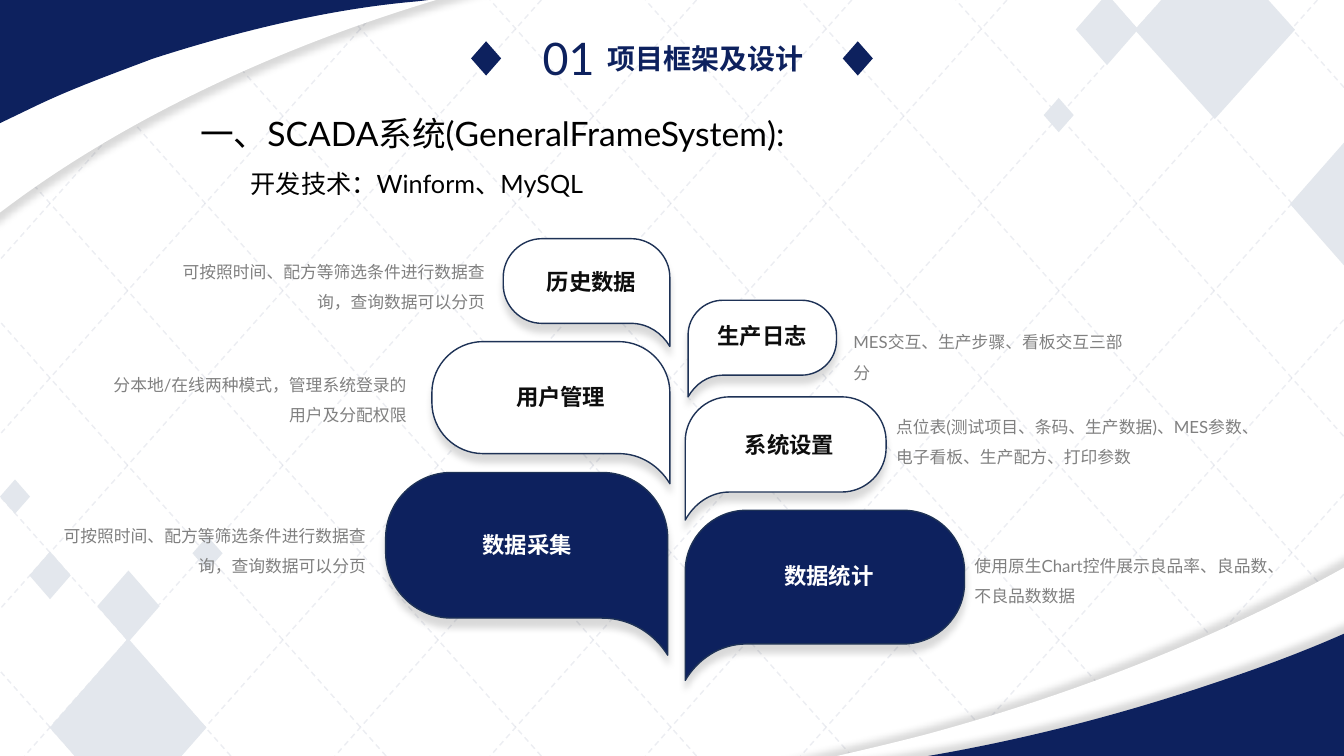
from lxml.etree import SubElement
from pptx import Presentation
from pptx.dml.color import RGBColor
from pptx.enum.dml import MSO_LINE
from pptx.enum.shapes import MSO_CONNECTOR, MSO_SHAPE
from pptx.enum.text import MSO_ANCHOR, PP_ALIGN
from pptx.oxml.ns import qn
from pptx.util import Pt

WIDTH, HEIGHT = 960, 540
FONT = "Lato"
NAVY, OUTLINE, WHITE, PALE = "0D215E", "1E3256", "FFFFFF", "E3E7ED"
BLACK, INK, GRAY = "000000", "0D0D0D", "808080"
LEFT, CENTER, RIGHT = PP_ALIGN.LEFT, PP_ALIGN.CENTER, PP_ALIGN.RIGHT

DIAMONDS = [
    (810.5, -42.5, 114.5, 127.5), (35.5, 456, 112, 127.5), (21, 394, 29.5, 34),
    (137.5, 383, 21.5, 24.5), (69.5, 407.5, 44.5, 51), (0, 342.5, 21.5, 24.5),
    (768.5, -4.5, 44.5, 51), (745.5, 70, 21.5, 24.5), (921.5, 82, 112, 127.5),
]

# Each outline step is a point, or two control points and an end point.
CORNERS = [
    (WHITE, 90, [(-36, -35), (466, -35), (428, -29), (400, -24, 372, -17, 343, -9),
                 (192, 32, 62, 98, -25, 172), (-36, 182)]),
    (NAVY, 225, [(0, 0), (306, 0), (298, 1), (239, 6, 174, 21, 109, 42),
                 (80, 53, 52, 63, 25, 76), (0, 88)]),
    (WHITE, 225, [(985, 391), (985, 557), (510, 557), (557, 549),
                  (590, 542, 625, 534, 660, 525), (775, 494, 880, 451, 968, 401)]),
    (NAVY, 225, [(985, 442), (985, 552), (570, 552), (582, 551),
                 (672, 542, 770, 521, 870, 487), (903, 476, 935, 464, 966, 450)]),
]

# box, body height, tail on the right, fill, (label, dx, dy, alignment), (note, gap, dy, width)
BUBBLES = [
    ((275.5, 337.5, 201.5, 130.5), 104, True, NAVY, ("数据采集", 62, 38, LEFT),
     ("可按照时间、配方等筛选条件进行数据查询，查询数据可以分页", 7, 27, 234.5)),
    ((308.5, 244, 170, 101.5), 80, True, WHITE, ("用户管理", 51, 26, CENTER),
     ("分本地/在线两种模式，管理系统登录的用户及分配权限", 11, 13, 234.5)),
    ((489.5, 364.5, 199.5, 121.5), 95.5, False, NAVY, ("数据统计", 63.5, 33.5, LEFT),
     ("使用原生Chart控件展示良品率、良品数、不良品数数据", 0, 21.5, 233.5)),
    ((489.5, 283.5, 143.5, 88), 68, False, WHITE, ("系统设置", 33.5, 21, CENTER),
     ("点位表(测试项目、条码、生产数据)、MES参数、电子看板、生产配方、打印参数",
      0, 3.5, 263.5)),
    ((359.5, 170.5, 119, 77), 60.5, True, WHITE, ("历史数据", 22, 17.5, CENTER),
     ("可按照时间、配方等筛选条件进行数据查询，查询数据可以分页", 6, 5.5, 234.5)),
    ((491.5, 214.5, 106, 69), 53.5, False, WHITE, ("生产日志", 12, 12, CENTER),
     ("MES交互、生产步骤、看板交互三部分", 5, 12, 214)),
]


def color(value):
    return RGBColor.from_string(value)


def points(*values):
    return [Pt(value) for value in values]


def write(shape, lines, align=LEFT, wrap=True, spacing=1.0):
    """Fill a text shape with lines of (text, first-line indent, font values)."""
    frame = shape.text_frame
    frame.word_wrap = wrap
    frame.vertical_anchor = MSO_ANCHOR.TOP
    for index, (text, indent, style) in enumerate(lines):
        paragraph = frame.add_paragraph() if index else frame.paragraphs[0]
        paragraph.alignment = align
        paragraph.line_spacing = spacing
        if indent:
            paragraph._p.get_or_add_pPr().set("indent", str(Pt(indent)))
        run = paragraph.add_run()
        run.text = text
        values = {"name": FONT, "bold": False, **style}
        run.font.color.rgb = color(values.pop("color"))
        for name, value in values.items():
            setattr(run.font, name, value)


def add_text(slide, box, lines, **layout):
    write(slide.shapes.add_textbox(*points(*box)), lines, **layout)


def add_diamond(shapes, box, fill):
    shape = shapes.add_shape(MSO_SHAPE.DIAMOND, *points(*box))
    shape.shadow.inherit = False
    shape.fill.solid()
    shape.fill.fore_color.rgb = color(fill)
    shape.line.fill.background()


def bend(shape, outline):
    """Turn the straight segments of a freeform into the outline's cubic curves."""
    path = next(shape.element.iter(qn("a:path")))
    for segment, step in zip(list(path), outline):
        if len(step) == 2:
            continue
        curve = SubElement(path, qn("a:cubicBezTo"))
        for x, y in zip(step[::2], step[1::2]):
            SubElement(curve, qn("a:pt"), x=str(Pt(x) - shape.left), y=str(Pt(y) - shape.top))
        path.replace(segment, curve)


def add_outline(slide, outline, fill, direction, line=None):
    """Draw a closed outline with a soft shadow cast in the given direction."""
    start, *rest = [points(*step[-2:]) for step in outline]
    builder = slide.shapes.build_freeform(*start, scale=1.0)
    builder.add_line_segments(rest, close=True)
    shape = builder.convert_to_shape()
    bend(shape, outline)
    shape.fill.solid()
    shape.fill.fore_color.rgb = color(fill)
    if line:
        shape.line.color.rgb = color(line)
        shape.line.width = Pt(1)
    else:
        shape.line.fill.background()
    shape.shadow.inherit = False
    shadow = SubElement(shape.element.spPr.find(qn("a:effectLst")), qn("a:outerShdw"),
                        blurRad=str(Pt(5)), dist=str(Pt(6)), dir=str(direction * 60000),
                        algn="ctr", rotWithShape="0")
    shade = SubElement(shadow, qn("a:srgbClr"), val=BLACK)
    SubElement(shade, qn("a:alpha"), val="14000")


def add_lattice(slide, start=54, step=110.88, count=13, run=480):
    for top, bottom in ((0, HEIGHT), (HEIGHT, 0)):
        group = slide.shapes.add_group_shape()
        for index in range(count):
            x = start + index * step
            connector = group.shapes.add_connector(
                MSO_CONNECTOR.STRAIGHT, *points(x, top, x - run, bottom))
            connector.line.color.rgb = color(NAVY)
            connector.line.width = Pt(1)
            connector.line.dash_style = MSO_LINE.DASH
            properties = connector.element.spPr
            for shade in properties.iter(qn("a:srgbClr")):
                SubElement(shade, qn("a:alpha"), val="7000")
            SubElement(properties, qn("a:effectLst"))


def add_background(slide):
    """Draw the decoration and hand it over to the slide's layout."""
    add_lattice(slide)
    for fill, direction, outline in CORNERS:
        add_outline(slide, outline, fill, direction)
    for box in DIAMONDS:
        add_diamond(slide.shapes, box, PALE)
    title, *footers = slide.slide_layout.placeholders
    layout_tree = title.element.getparent()
    for footer in footers:
        layout_tree.remove(footer.element)
    for shape in list(slide.shapes):
        if not shape.is_placeholder:
            layout_tree.append(shape.element)


def add_title_bar(slide, left, top):
    add_text(slide, (left + 44, top - 11, 54, 46),
             [("01", 0, {"size": Pt(32), "color": NAVY})], wrap=False)
    group = slide.shapes.add_group_shape()
    for offset in (0, 265.5):
        add_diamond(group.shapes, (left + offset, top, 21.5, 24.5), NAVY)
    title = slide.shapes.title
    title.left, title.top, title.width, title.height = points(left + 90, top - 3.5, 155, 32)
    write(title, [("项目框架及设计", 0, {"size": Pt(20), "color": NAVY, "bold": True})],
          wrap=False)
    title.element.getparent().append(title.element)


def add_heading(slide, box):
    add_text(slide, box, [
        ("一、SCADA系统(GeneralFrameSystem):", 0, {"size": Pt(24), "color": BLACK}),
        ("开发技术：Winform、MySQL", 36, {"size": Pt(18), "color": BLACK}),
    ], spacing=1.5)


def bubble_outline(box, body, tail_right):
    """Rounded body whose tail drops from one bottom corner."""
    left, top, width, height = box
    radius = 0.36 * height
    near = 0.45 * radius
    tail = height - body
    outline = [
        (width, height),
        (width - 0.2 * radius, body + 0.43 * tail, width - 0.56 * radius, body,
         width - radius, body),
        (radius, body),
        (near, body, 0, body - near, 0, body - radius),
        (0, radius),
        (0, near, near, 0, radius, 0),
        (width - radius, 0),
        (width - near, 0, width, near, width, radius),
    ]
    return [tuple(top + value if index % 2 else
                  left + (value if tail_right else width - value)
                  for index, value in enumerate(step)) for step in outline]


def add_bubble(slide, box, body, tail_right, fill, label, note):
    left, top, width, _ = box
    add_outline(slide, bubble_outline(box, body, tail_right), fill, 90, OUTLINE)
    text, dx, dy, align = label
    ink = WHITE if fill == NAVY else INK
    add_text(slide, (left + dx, top + dy, 82, 26.5),
             [(text, 0, {"size": Pt(16), "color": ink, "bold": True})], align=align)
    text, gap, dy, note_width = note
    note_left = left - gap - note_width if tail_right else left + width + gap
    add_text(slide, (note_left, top + dy, note_width, 50),
             [(text, 0, {"size": Pt(12), "color": GRAY})],
             align=RIGHT if tail_right else LEFT, spacing=1.5)


def main():
    presentation = Presentation()
    presentation.slide_width, presentation.slide_height = points(WIDTH, HEIGHT)
    slide = presentation.slides.add_slide(presentation.slide_layouts[5])
    add_background(slide)
    add_title_bar(slide, 336.5, 29.5)
    add_heading(slide, (136, 62.5, 518.5, 93.5))
    for bubble in BUBBLES:
        add_bubble(slide, *bubble)
    presentation.save("out.pptx")


if __name__ == "__main__":
    main()
